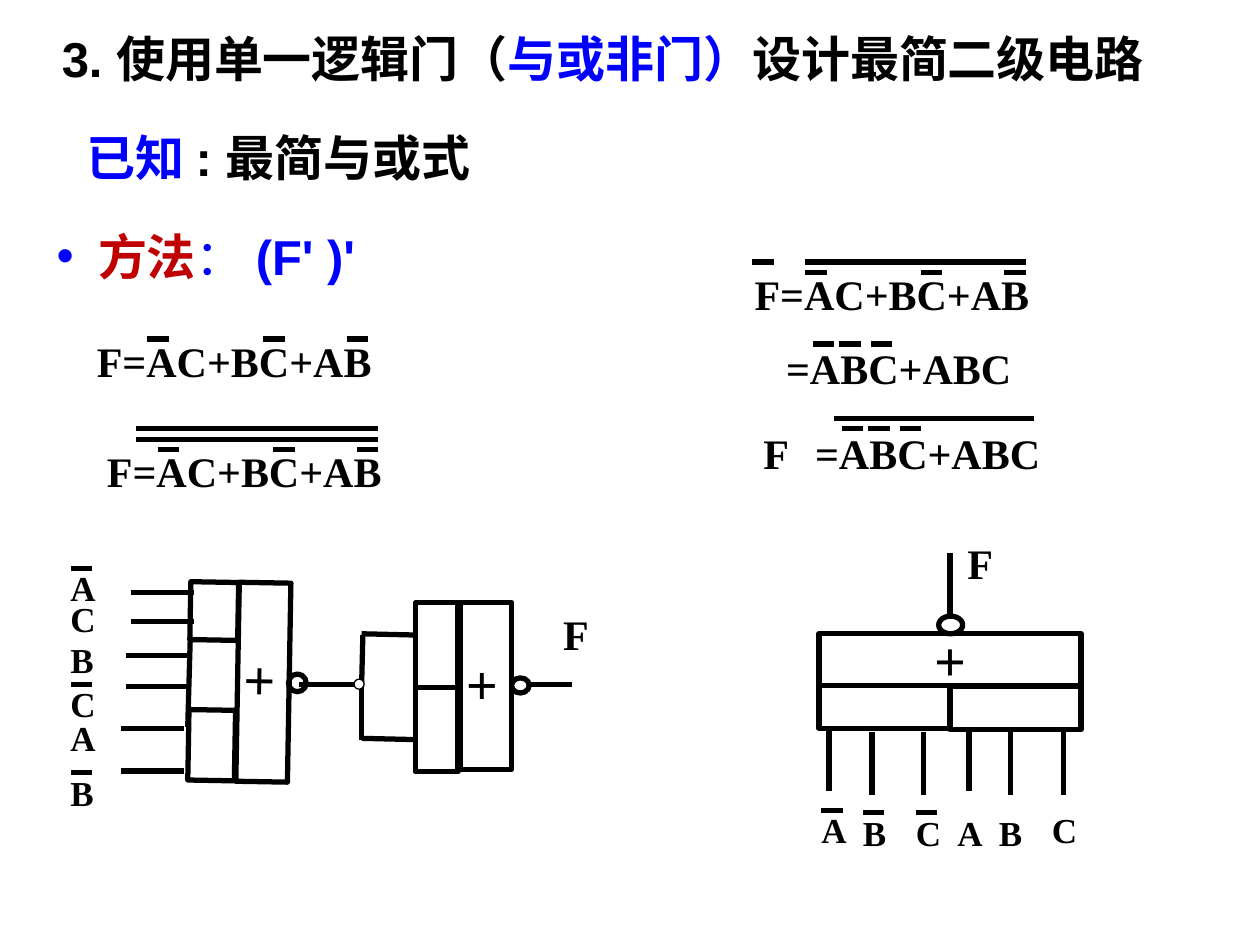
import pptx
import pptx.dml.color
import pptx.enum.shapes
import pptx.enum.text
import pptx.oxml
import pptx.oxml.ns
import pptx.util

Inches = pptx.util.Inches
Pt = pptx.util.Pt
MSO_SHAPE = pptx.enum.shapes.MSO_SHAPE
PP_ALIGN = pptx.enum.text.PP_ALIGN
MSO_ANCHOR = pptx.enum.text.MSO_ANCHOR

BLACK, BLUE, RED, WHITE = "000000", "0000FF", "C00000", "FFFFFF"
BAR = 0.17  # length of the negation bar over one letter


def color(hex_code):
    return pptx.dml.color.RGBColor.from_string(hex_code)


def write(frame, runs, size=24, font="Times New Roman", align=PP_ALIGN.LEFT,
          anchor=MSO_ANCHOR.TOP, wrap=True, hanging=0, bullet=None):
    """Fill a text frame; runs is a string or (text, colour, bold) tuples."""
    if isinstance(runs, str):
        runs = [(runs, BLACK, True)]
    frame.margin_left = frame.margin_right = Inches(0.1)
    frame.margin_top = frame.margin_bottom = Inches(0.05)
    frame.word_wrap = wrap
    frame.vertical_anchor = anchor
    paragraph = frame.paragraphs[0]
    properties = paragraph._p.get_or_add_pPr()
    if hanging:
        properties.set("marL", str(Inches(hanging)))
        properties.set("indent", str(-Inches(hanging)))
    if bullet:
        for tag, name, value in (("buClr", None, None), ("buFont", "typeface", "Arial"),
                                 ("buChar", "char", bullet)):
            mark = pptx.oxml.ns.qn("a:" + tag)
            element = properties.makeelement(mark, {name: value} if name else {})
            if tag == "buClr":
                element.append(element.makeelement(
                    pptx.oxml.ns.qn("a:srgbClr"), {"val": runs[-1][1]}))
            properties.append(element)
    paragraph.alignment = align
    for text, hex_code, bold in runs:
        run = paragraph.add_run()
        run.text = text
        run.font.size = Pt(size)
        run.font.name = font
        run.font.bold = bold
        run.font.color.rgb = color(hex_code)


class LogicSlide:
    """The current slide and its drawing style."""

    def __init__(self, slide, ink=BLACK, weight=3):
        self.slide, self.ink, self.weight = slide, ink, weight

    def title(self, runs, x, y, width, height, **text_format):
        heading = self.slide.shapes.title
        heading.left, heading.top = Inches(x), Inches(y)
        heading.width, heading.height = Inches(width), Inches(height)
        write(heading.text_frame, runs, **text_format)

    def text(self, runs, x, y, width, height, **text_format):
        box = self.slide.shapes.add_textbox(
            Inches(x), Inches(y), Inches(width), Inches(height))
        write(box.text_frame, runs, **text_format)

    def line(self, x1, y1, x2, y2):
        wire = self.slide.shapes.add_connector(
            pptx.enum.shapes.MSO_CONNECTOR.STRAIGHT,
            Inches(x1), Inches(y1), Inches(x2), Inches(y2))
        wire.line.color.rgb = color(self.ink)
        wire.line.width = Pt(self.weight)
        wire._element.spPr.append(pptx.oxml.parse_xml(
            "<a:effectLst %s/>" % pptx.oxml.ns.nsdecls("a")))

    def bar(self, x, y, length=BAR):
        self.line(x, y, x + length, y)

    def shape(self, kind, x, y, width, height, rotation=0, text=None, fill=None, weight=None):
        part = self.slide.shapes.add_shape(
            kind, Inches(x), Inches(y), Inches(width), Inches(height))
        part.shadow.inherit = False
        part.rotation = rotation
        if fill:
            part.fill.solid()
            part.fill.fore_color.rgb = color(fill)
        else:
            part.fill.background()
        part.line.color.rgb = color(self.ink)
        part.line.width = Pt(weight or self.weight)
        if text:
            write(part.text_frame, text, size=32, align=PP_ALIGN.CENTER,
                  anchor=MSO_ANCHOR.MIDDLE, wrap=False)

    def box(self, *place, **style):
        self.shape(MSO_SHAPE.RECTANGLE, *place, **style)

    def circle(self, *place, **style):
        self.shape(MSO_SHAPE.OVAL, *place, **style)

    def formula(self, text, x, y, bar_offsets, bar_drop):
        """An expression with a bar over each negated letter."""
        self.text(text, x, y, 2.42, 0.5)
        for offset in bar_offsets:
            self.bar(x + offset, y + bar_drop)

    def signal(self, name, x, y):
        """An input label; a trailing ' means it carries a bar."""
        self.text(name[0], x, y, 0.42, 0.43, size=20)
        if name.endswith("'"):
            self.bar(x + 0.1, y + 0.06)


def draw_formulas(page):
    sum_form = ("F=AC+BC+AB", (0.5, 1.42, 2.08), 0.08)
    short_form = ("=ABC+ABC", (0.31, 0.52, 0.77), 0.06)
    for (text, offsets, drop), x, y in (
            (sum_form, 0.67, 2.61), (sum_form, 0.75, 3.49), (sum_form, 5.89, 2.08),
            (short_form, 6.14, 2.67), (short_form, 6.37, 3.34)):
        page.formula(text, x, y, offsets, drop)
    page.text("F", 5.96, 3.34, 0.75, 0.5)
    for x, y, length in ((1.08, 3.4, 1.92), (1.08, 3.49, 1.92), (5.97, 2.08, BAR),
                         (6.39, 2.08, 1.75), (6.62, 3.32, 1.59)):
        page.bar(x, y, length)


def draw_two_gate_circuit(page):
    page.box(1.3, 5.21, 1.58, 0.41, rotation=91, text="+")
    page.box(1.47, 4.66, 0.46, 0.38, rotation=91)
    page.box(1.4, 5.73, 0.56, 0.37, rotation=91)
    page.circle(2.29, 5.35, 0.14, 0.14, rotation=91)
    page.line(1.51, 5.07, 1.49, 5.77)
    for name, label_y, wire_x, wire_y in (
            ("A'", 4.45, 1.04, 4.7), ("C", 4.69, 1.04, 4.93), ("B", 5.02, 1, 5.2),
            ("C'", 5.37, 1, 5.45), ("A", 5.64, 0.96, 5.78), ("B'", 6.07, 0.96, 6.12)):
        page.signal(name, 0.46, label_y)
        page.bar(wire_x, wire_y, 0.5)

    page.bar(2.37, 5.43, 0.5)
    page.box(3.19, 5.24, 1.33, 0.41, rotation=90, text="+")
    for y in (4.95, 5.62):
        page.box(3.13, y, 0.67, 0.34, rotation=90)
    page.circle(4.07, 5.37, 0.12, 0.14, rotation=88.2)
    page.line(2.87, 5.45, 2.88, 5.04)
    page.line(2.87, 5.37, 2.87, 5.87)
    for y in (5.03, 5.86):
        page.line(2.87, y, 3.29, y + 0.01)
    page.circle(2.81, 5.39, 0.08, 0.08, fill=WHITE, weight=0.75)
    page.bar(4.21, 5.43, 0.33)
    page.text("F", 4.37, 4.78, 0.42, 0.5)


def draw_single_gate_circuit(page):
    page.box(6.5, 5.03, 2.08, 0.41, text="+")
    page.box(6.5, 5.44, 1.04, 0.34)
    page.box(7.54, 5.45, 1.04, 0.34)
    page.circle(7.45, 4.89, 0.19, 0.14)
    page.line(7.54, 4.89, 7.54, 4.39)
    page.text("F", 7.58, 4.22, 0.67, 0.5)
    for name, label_x, label_y, wire_x, wire_y in (
            ("A'", 6.42, 6.37, 6.58, 5.78), ("B'", 6.75, 6.39, 6.92, 5.81),
            ("C'", 7.17, 6.39, 7.33, 5.81), ("A", 7.5, 6.39, 7.69, 5.78),
            ("B", 7.83, 6.39, 8.02, 5.81), ("C", 8.25, 6.37, 8.44, 5.81)):
        page.signal(name, label_x, label_y)
        page.line(wire_x, wire_y, wire_x, wire_y + 0.5)


def main():
    deck = pptx.Presentation()
    deck.slide_width, deck.slide_height = Inches(10), Inches(7.5)
    page = LogicSlide(deck.slides.add_slide(deck.slide_layouts[5]))
    heading = {"size": 28, "font": "Arial"}
    page.title([("3. 使用单一逻辑门（", BLACK, True), ("与或非门）", BLUE, True),
                ("设计最简二级电路", BLACK, True)], 0.39, 0.18, 8.92, 0.57, wrap=False, **heading)
    page.text([("已知 ", BLUE, True), (": 最简与或式", BLACK, True)],
              0.59, 0.96, 5.04, 0.57, hanging=0.5, **heading)
    page.text([("方法", RED, True), ("： ", BLUE, False), ("(F' )'", BLUE, True)],
              0.35, 1.75, 3.62, 0.57, hanging=0.33, bullet="•", **heading)
    draw_formulas(page)
    draw_two_gate_circuit(page)
    draw_single_gate_circuit(page)
    deck.save("out.pptx")


if __name__ == "__main__":
    main()
